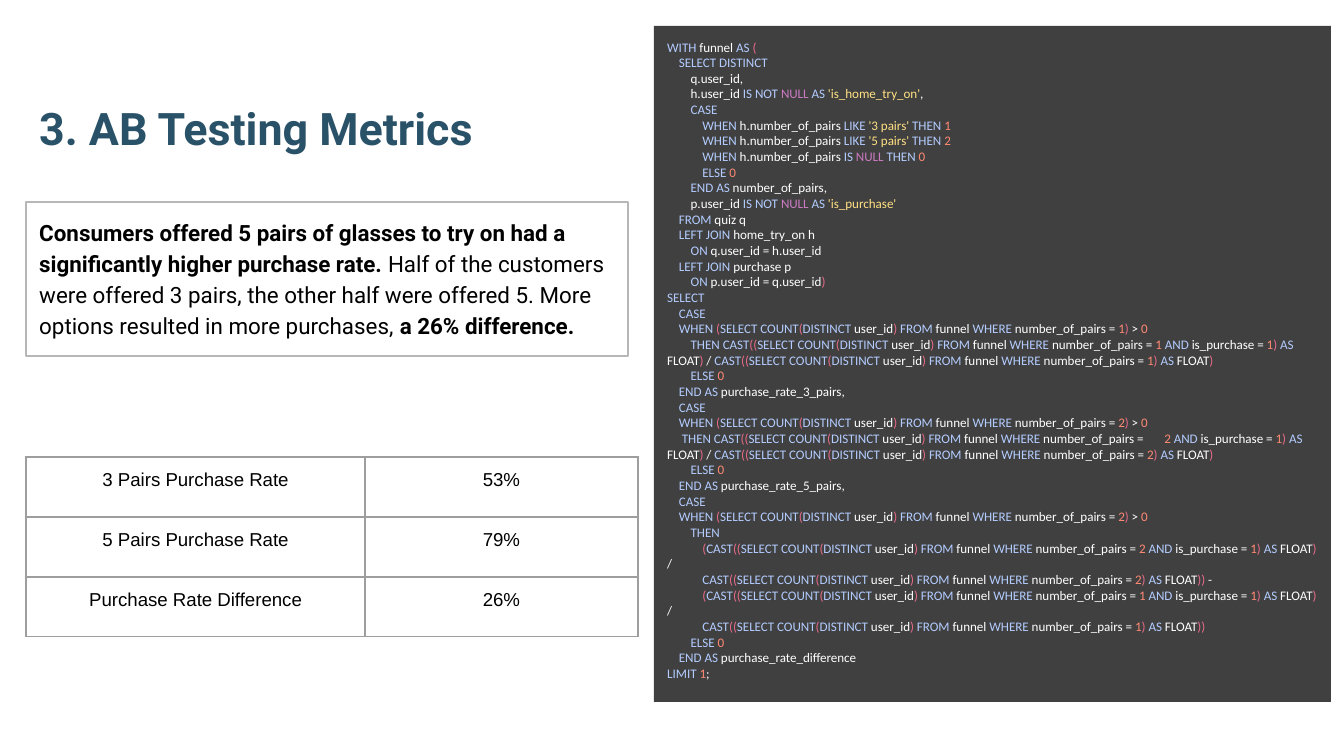
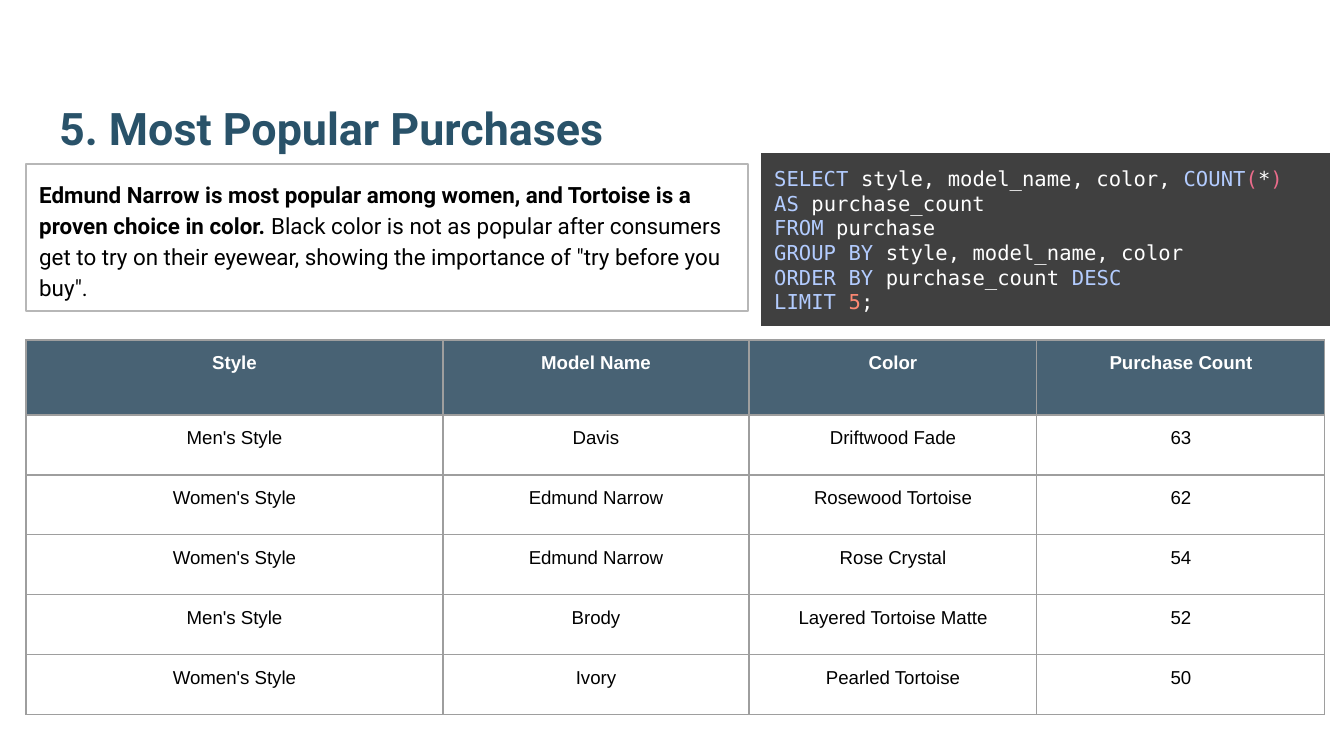
from itertools import groupby

from lxml import etree
from pptx import Presentation
from pptx.dml.color import RGBColor
from pptx.enum.shapes import MSO_SHAPE
from pptx.enum.text import MSO_ANCHOR, PP_ALIGN
from pptx.oxml import parse_xml
from pptx.oxml.ns import qn
from pptx.util import Pt

PX = 914400 / 134.4
PAD = round(13 * PX)
RECT = MSO_SHAPE.RECTANGLE
TOP, BOTTOM = MSO_ANCHOR.TOP, MSO_ANCHOR.BOTTOM
LEFT, CENTER = PP_ALIGN.LEFT, PP_ALIGN.CENTER

TEAL = RGBColor(0x29, 0x52, 0x69)
NAVY = RGBColor(0x20, 0x40, 0x56)
DARK = RGBColor(0x40, 0x40, 0x40)
GRAY = RGBColor(0xB7, 0xB7, 0xB7)
RULE = RGBColor(0x9E, 0x9E, 0x9E)
BLACK = RGBColor(0, 0, 0)
WHITE = RGBColor(0xFF, 0xFF, 0xFF)
BLUE = RGBColor(0xB3, 0xCC, 0xFF)
ROSE = RGBColor(0xEA, 0x6C, 0x8B)
PLUM = RGBColor(0xCC, 0x7B, 0xC2)
GOLD = RGBColor(0xFF, 0xE0, 0x83)
CORAL = RGBColor(0xFF, 0x89, 0x73)

HEAD = {"name": "Roboto", "size": Pt(24), "bold": True}
NOTE = {"name": "Roboto", "size": Pt(12)}
CELL = {"name": "Arial", "size": Pt(10)}

# Clauses that recur in the funnel query
PICK = "(SELECT COUNT(DISTINCT user_id) FROM funnel WHERE number_of_pairs ="
BUY = "AND is_purchase = 1) AS FLOAT)"
ONE = f"CAST({PICK} 1) AS FLOAT)"
TWO = f"CAST({PICK} 2) AS FLOAT)"

FUNNEL = [
    "WITH funnel AS (",
    "    SELECT DISTINCT",
    "        q.user_id,",
    "        h.user_id IS NOT NULL AS 'is_home_try_on',",
    "        CASE",
    "            WHEN h.number_of_pairs LIKE '3 pairs' THEN 1",
    "            WHEN h.number_of_pairs LIKE '5 pairs' THEN 2",
    "            WHEN h.number_of_pairs IS NULL THEN 0",
    "            ELSE 0",
    "        END AS number_of_pairs,",
    "        p.user_id IS NOT NULL AS 'is_purchase'",
    "    FROM quiz q",
    "    LEFT JOIN home_try_on h",
    "        ON q.user_id = h.user_id",
    "    LEFT JOIN purchase p",
    "        ON p.user_id = q.user_id)",
    "SELECT",
    "    CASE",
    f"    WHEN {PICK} 1) > 0",
    f"        THEN CAST({PICK} 1 {BUY} / {ONE}",
    "        ELSE 0",
    "    END AS purchase_rate_3_pairs,",
    "    CASE",
    f"    WHEN {PICK} 2) > 0",
    f"     THEN CAST({PICK}       2 {BUY} / {TWO}",
    "        ELSE 0",
    "    END AS purchase_rate_5_pairs,",
    "    CASE",
    f"    WHEN {PICK} 2) > 0",
    "        THEN",
    f"            (CAST({PICK} 2 {BUY} /",
    f"            {TWO}) -",
    f"            (CAST({PICK} 1 {BUY} /",
    f"            {ONE})",
    "        ELSE 0",
    "    END AS purchase_rate_difference",
    "LIMIT 1;",
]

POPULAR = [
    "SELECT style, model_name, color, COUNT(*) AS purchase_count",
    "FROM purchase",
    "GROUP BY style, model_name, color",
    "ORDER BY purchase_count DESC",
    "LIMIT 5;",
]

PAGES = [
    {
        "title": ("3. AB Testing Metrics", (26, 43, 723, 124)),
        "code": (FUNNEL, (654, 26, 677, 676), {"name": "Calibri", "size": Pt(7)}),
        "note": ([
            ("Consumers offered 5 pairs of glasses to try on had a significantly higher purchase rate. ", True),
            ("Half of the customers were offered 3 pairs, the other half were offered 5. "
             "More options resulted in more purchases,", False),
            (" a 26% difference.", True),
        ], (26, 202, 602, 154)),
        "table": ([
            ("3 Pairs Purchase Rate", "53%"),
            ("5 Pairs Purchase Rate", "79%"),
            ("Purchase Rate Difference", "26%"),
        ], (26, 457), (339, 273), False),
    },
    {
        "title": ("5. Most Popular Purchases", (46, 43, 1253, 124)),
        "code": (POPULAR, (761, 153, 569, 173), {"name": "DejaVu Sans Mono", "size": Pt(11)}),
        "note": ([
            ("Edmund Narrow is most popular among women, and Tortoise is a proven choice in color.", True),
            (" Black color is not as popular after consumers get to try on their eyewear, "
             "showing the importance of \"try before you buy\".", False),
        ], (26, 164, 722, 147)),
        "table": ([
            ("Style", "Model Name", "Color", "Purchase Count"),
            ("Men's Style", "Davis", "Driftwood Fade", "63"),
            ("Women's Style", "Edmund Narrow", "Rosewood Tortoise", "62"),
            ("Women's Style", "Edmund Narrow", "Rose Crystal", "54"),
            ("Men's Style", "Brody", "Layered Tortoise Matte", "52"),
            ("Women's Style", "Ivory", "Pearled Tortoise", "50"),
        ], (26, 340), (417, 306, 288, 288), True),
    },
]


def tint(line):
    """Split one line of SQL into runs of text and colour."""
    parts = []
    for i, piece in enumerate(line.split("'")):
        if i % 2:
            parts.append((f"'{piece}'", GOLD))
            continue
        for kind, chars in groupby(piece, lambda c: "()" if c in "()" else
                                   " " if c == " " else c.isalnum() or c in "_."):
            word = "".join(chars)
            if kind == " ":
                color = parts[-1][1] if parts else WHITE
            elif kind == "()":
                color = ROSE
            elif word == "NULL":
                color = PLUM
            elif word.isdigit():
                color = CORAL
            else:
                color = BLUE if word.isupper() and word != "FLOAT" else WHITE
            if parts and parts[-1][1] == color:
                word = parts.pop()[0] + word
            parts.append((word, color))
    return parts


def write(frame, lines, form):
    """Fill a text frame; each line is a list of (text, colour, extra format)."""
    for i, line in enumerate(lines):
        para = frame.paragraphs[0] if i == 0 else frame.add_paragraph()
        for text, color, extra in line:
            run = para.add_run()
            run.text = text
            run.font.color.rgb = color
            for key, value in {**form, **extra}.items():
                setattr(run.font, key, value)


deck = Presentation()
deck.slide_width, deck.slide_height = round(1344 * PX), round(756 * PX)

for page in PAGES:
    slide = deck.slides.add_slide(deck.slide_layouts[6])

    # Title
    text, spot = page["title"]
    title = slide.shapes.add_textbox(*[round(v * PX) for v in spot])
    write(title.text_frame, [[(text, TEAL, {})]], HEAD)

    # Code panel
    code, spot, form = page["code"]
    panel = slide.shapes.add_shape(RECT, *[round(v * PX) for v in spot])
    panel.fill.solid()
    panel.fill.fore_color.rgb = DARK
    panel.line.fill.background()
    lines = [[(word, color, {}) for word, color in tint(line)] for line in code]
    write(panel.text_frame, lines, form)

    # Finding
    runs, spot = page["note"]
    note = slide.shapes.add_shape(RECT, *[round(v * PX) for v in spot])
    note.fill.background()
    note.line.color.rgb = GRAY
    note.line.width = Pt(0.75)
    write(note.text_frame, [[(text, BLACK, {"bold": bold}) for text, bold in runs]], NOTE)
    note.text_frame.paragraphs[0].line_spacing = 1.15

    # Shared frame settings
    for shape, anchor in ((title, BOTTOM), (panel, TOP), (note, TOP)):
        frame = shape.text_frame
        frame.word_wrap = True
        frame.vertical_anchor = anchor
        frame.margin_top = frame.margin_bottom = PAD
        if shape is not title:
            shape.shadow.inherit = False
            for para in frame.paragraphs:
                para.alignment = LEFT

    # Table
    rows, (left, top), wide, header = page["table"]
    high = [75 if header and i == 0 else 60 for i in range(len(rows))]
    size = [round(v * PX) for v in (left, top, sum(wide), sum(high))]
    grid = slide.shapes.add_table(len(rows), len(wide), *size).table
    grid.first_row = header
    grid.horz_banding = False
    for col, width in zip(grid.columns, wide):
        col.width = round(width * PX)
    for i, row in enumerate(rows):
        grid.rows[i].height = round(high[i] * PX)
        top_row = header and i == 0
        for j, text in enumerate(row):
            cell = grid.cell(i, j)
            cell.margin_top = cell.margin_bottom = PAD
            color = WHITE if top_row else BLACK
            write(cell.text_frame, [[(text, color, {"bold": top_row})]], CELL)
            cell.text_frame.paragraphs[0].alignment = CENTER
            props = cell._tc.get_or_add_tcPr()
            for side in "LRTB":
                props.append(parse_xml(
                    f'<a:ln{side} xmlns:a="http://schemas.openxmlformats.org/drawingml/2006/main" '
                    f'w="{Pt(0.75)}"><a:solidFill><a:srgbClr val="{RULE}"/></a:solidFill></a:ln{side}>'))
            if top_row:
                cell.fill.solid()
                cell.fill.fore_color.rgb = NAVY
                shade = props.find(qn("a:solidFill")).find(qn("a:srgbClr"))
                etree.SubElement(shade, qn("a:alpha")).set("val", "82000")
            else:
                cell.fill.background()

deck.save("out.pptx")
